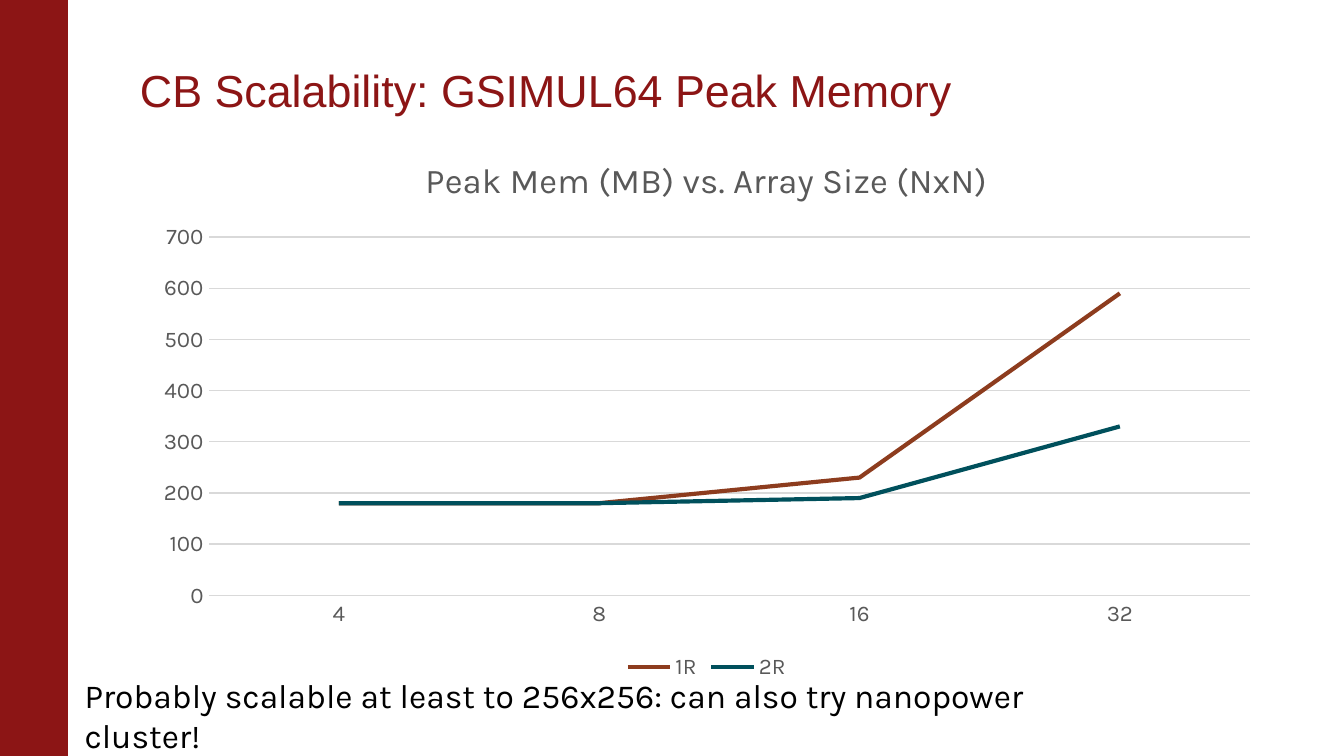
from pptx import Presentation
from pptx.chart.data import CategoryChartData as Data
from pptx.dml.color import RGBColor as Rgb
from pptx.enum.chart import XL_CHART_TYPE as Kind, XL_LEGEND_POSITION as Spot
from pptx.enum.chart import XL_TICK_MARK as Tick
from pptx.enum.shapes import MSO_SHAPE as Shape
from pptx.enum.text import MSO_ANCHOR as Anchor
from pptx.util import Pt

HUE = {
    "red": "8C1515",
    "rust": "8D3C1E",
    "teal": "00505C",
    "gray": "595959",
    "grid": "D9D9D9",
    "black": "000000",
}
SIZES = ["4", "8", "16", "32"]
PEAKS = [
    ("1R", [180, 180, 230, 590], "rust"),
    ("2R", [180, 180, 190, 330], "teal"),
]


def tint(name):
    return Rgb.from_string(HUE[name])


def style(font, size, hue="gray", face="Karla"):
    font.size = Pt(size)
    font.name = face
    font.bold = False
    font.color.rgb = tint(hue)


def rule(line, hue, width=0.75):
    line.color.rgb = tint(hue)
    line.width = Pt(width)


def add_text(slide, text, box, *, size, hue, face="Karla",
             left=7.2, anchor=Anchor.TOP, space=1.0):
    frame = slide.shapes.add_textbox(*map(Pt, box)).text_frame
    frame.word_wrap = True
    frame.margin_left = Pt(left)
    frame.vertical_anchor = anchor
    para = frame.paragraphs[0]
    para.line_spacing = space
    run = para.add_run()
    run.text = text
    style(run.font, size, hue, face)


def add_bar(slide, box, hue):
    bar = slide.shapes.add_shape(Shape.RECTANGLE, *map(Pt, box))
    bar.shadow.inherit = False
    bar.fill.solid()
    bar.fill.fore_color.rgb = tint(hue)
    rule(bar.line, hue)


def add_lines(slide, title, box):
    data = Data()
    data.categories = SIZES
    for name, vals, _ in PEAKS:
        data.add_series(name, vals)
    chart = slide.shapes.add_chart(Kind.LINE, *map(Pt, box), data).chart
    style(chart.font, 10, "black")

    # Title and legend
    chart.has_title = True
    frame = chart.chart_title.text_frame
    frame.text = title
    style(frame.paragraphs[0].runs[0].font, 18.6)
    chart.has_legend = True
    chart.legend.position = Spot.BOTTOM
    chart.legend.include_in_layout = False
    style(chart.legend.font, 12)

    # Axes
    for axis in (chart.category_axis, chart.value_axis):
        axis.major_tick_mark = axis.minor_tick_mark = Tick.NONE
        style(axis.tick_labels.font, 12)
    rule(chart.category_axis.format.line, "grid")
    val = chart.value_axis
    val.minimum_scale, val.maximum_scale, val.major_unit = 0, 700, 100
    val.format.line.fill.background()
    val.has_major_gridlines = True
    rule(val.major_gridlines.format.line, "grid")

    # Series
    plot = chart.plots[0]
    plot.vary_by_categories = False
    for line, (_, _, hue) in zip(plot.series, PEAKS):
        line.smooth = False
        rule(line.format.line, hue, 2.25)


def main():
    deck = Presentation()
    deck.slide_width, deck.slide_height = Pt(720), Pt(405)
    slide = deck.slides.add_slide(deck.slide_layouts[6])

    # Side bar and heading
    add_bar(slide, (0, 0, 36, 405), "red")
    add_text(slide, "CB Scalability: GSIMUL64 Peak Memory",
             (75, 28, 607, 38), size=24, hue="red", face="Arial",
             left=0, anchor=Anchor.BOTTOM, space=0.85)

    # Chart and remark
    add_lines(slide, "Peak Mem (MB) vs. Array Size (NxN)",
              (75.6, 71.3, 606.2, 295.9))
    add_text(slide, "Probably scalable at least to 256x256: "
             "can also try nanopower cluster!",
             (38.2, 357.8, 542.2, 28.8), size=18, hue="black")

    deck.save("out.pptx")


if __name__ == "__main__":
    main()
